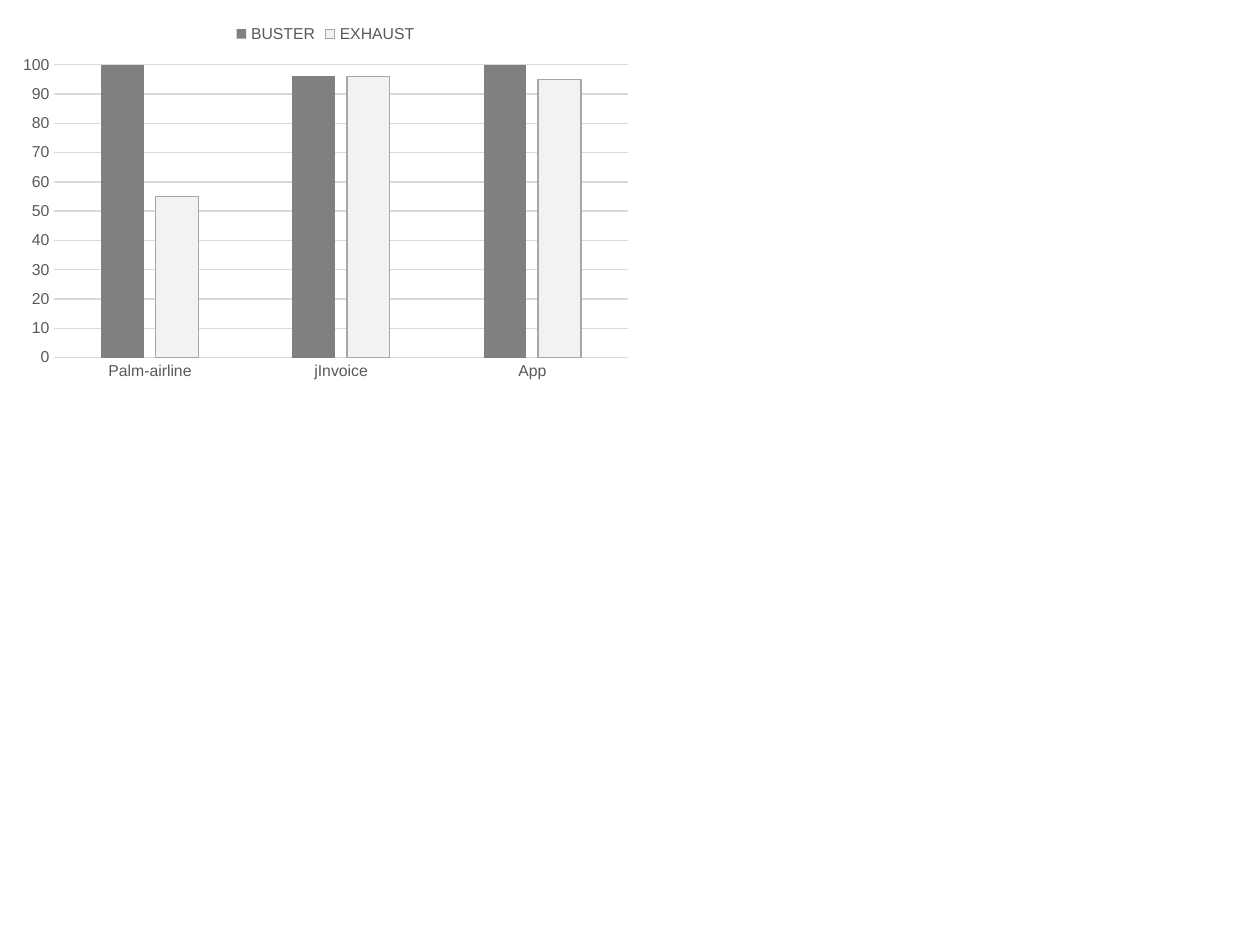
import dataclasses
import typing

import pptx
import pptx.chart.data
import pptx.dml.color
import pptx.enum.chart
import pptx.util

Pt = pptx.util.Pt


@dataclasses.dataclass(frozen=True)
class Theme:
    face: str = "Arial"
    size: float = 9
    ink: str = "595959"
    grid: str = "D9D9D9"
    dark: str = "808080"
    light: str = "F2F2F2"
    edge: str = "A6A6A6"
    rule: float = 0.75


@dataclasses.dataclass(frozen=True)
class Series:
    name: str
    vals: tuple[int, ...]
    fill: str
    edge: str | None = None


THEME = Theme()
CATS = ("Palm-airline", "jInvoice", "App")
BARS = (
    Series("BUSTER", (100, 96, 100), THEME.dark),
    Series("EXHAUST", (55, 96, 95), THEME.light, THEME.edge),
)


def rgb(code: str) -> pptx.dml.color.RGBColor:
    return pptx.dml.color.RGBColor.from_string(code)


def style(text: typing.Any, *, size: float = THEME.size,
          color: str = THEME.ink, face: str = THEME.face) -> None:
    """Format any chart text that has a font."""
    text.font.size = Pt(size)
    text.font.name = face
    text.font.bold = False
    text.font.color.rgb = rgb(color)


def stroke(form: typing.Any, color: str | None) -> None:
    """Set a thin line, or none when there is no color."""
    if color is None:
        form.line.fill.background()
        return
    form.line.color.rgb = rgb(color)
    form.line.width = Pt(THEME.rule)


def paint(bar: typing.Any, item: Series) -> None:
    bar.invert_if_negative = False
    bar.format.fill.solid()
    bar.format.fill.fore_color.rgb = rgb(item.fill)
    stroke(bar.format, item.edge)


def draw(slide: typing.Any) -> None:
    # Chart data
    data = pptx.chart.data.CategoryChartData(number_format="0")
    data.categories = CATS
    for item in BARS:
        data.add_series(item.name, item.vals)
    kind = pptx.enum.chart.XL_CHART_TYPE.COLUMN_CLUSTERED
    chart = slide.shapes.add_chart(
        kind, Pt(6), Pt(6), Pt(360), Pt(216), data).chart
    chart.has_title = False
    style(chart, size=10, color="000000")

    # Columns
    plot = chart.plots[0]
    plot.vary_by_categories = False
    plot.gap_width = 219
    plot.overlap = -27
    for bar, item in zip(plot.series, BARS):
        paint(bar, item)

    # Axes
    base, scale = chart.category_axis, chart.value_axis
    for axis, color in ((base, THEME.grid), (scale, None)):
        axis.major_tick_mark = pptx.enum.chart.XL_TICK_MARK.NONE
        axis.minor_tick_mark = pptx.enum.chart.XL_TICK_MARK.NONE
        style(axis.tick_labels)
        stroke(axis.format, color)
    scale.minimum_scale = 0
    scale.maximum_scale = 100
    scale.major_unit = 10
    scale.tick_labels.number_format = "0"
    scale.tick_labels.number_format_is_linked = False
    stroke(scale.major_gridlines.format, THEME.grid)

    # Legend
    chart.has_legend = True
    chart.legend.position = pptx.enum.chart.XL_LEGEND_POSITION.TOP
    chart.legend.include_in_layout = False
    style(chart.legend)


def main() -> None:
    deck = pptx.Presentation()
    deck.slide_width, deck.slide_height = Pt(720), Pt(540)
    draw(deck.slides.add_slide(deck.slide_layouts[6]))
    deck.save("out.pptx")


if __name__ == "__main__":
    main()
